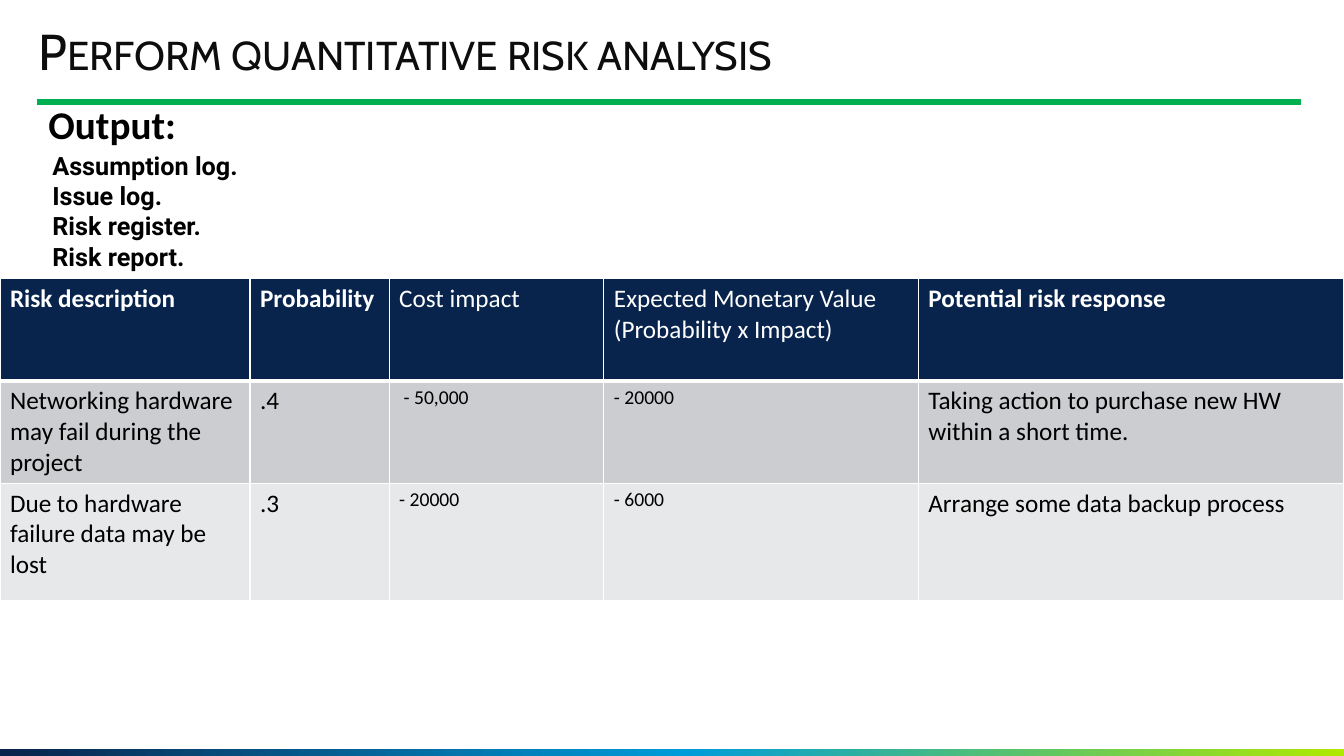
from copy import deepcopy
from dataclasses import dataclass

from lxml import etree
from pptx import Presentation
from pptx import util as u
from pptx.dml.color import RGBColor
from pptx.enum import shapes, text
from pptx.oxml.ns import qn


@dataclass(frozen=True)
class Theme:
    navy: str = "09244C"
    blue: str = "009CDA"
    lime: str = "B0E900"
    green: str = "00B050"
    white: str = "FFFFFF"
    black: str = "000000"
    ink: str = "0D0D0D"
    bands: tuple = ("CCCDD0", "E7E8E9")
    head: int = 36
    lead: int = 28
    text: int = 18
    small: int = 14


LOOK = Theme()
WIDE, HIGH = 960, 540

ITEMS = ["Assumption log.", "Issue log.", "Risk register.", "Risk report."]
COLS = [178.6, 99.4, 153.4, 224.6, 304]
ROWS = [73, 73, 84]
MONEY = (2, 3)
PLAIN = (2, 3)
RISKS = [
    ["Risk description", "Probability", "Cost impact",
     "Expected Monetary Value (Probability x Impact)",
     "Potential risk response"],
    ["Networking hardware may fail during the project", ".4", " - 50,000",
     "- 20000", "Taking action to purchase new HW within a short time."],
    ["Due to hardware failure data may be lost", ".3", "- 20000",
     "- 6000", "Arrange some data backup process"],
]


def rgb(tone):
    return RGBColor.from_string(tone)


def style(item, values):
    for name, value in values.items():
        setattr(item, name, value)


def write(para, words, tone, **form):
    """Add one run with its font values."""
    run = para.add_run()
    run.text = words
    style(run.font, form)
    run.font.color.rgb = rgb(tone)
    return run


def fill_box(box, area, lines, tone, inset=None, space=1.0, **form):
    """Place a placeholder and write plain, unbulleted lines in it."""
    style(box, dict(zip(("left", "top", "width", "height"),
                        map(u.Pt, area))))
    frame = box.text_frame
    style(frame, {"word_wrap": True, "auto_size": text.MSO_AUTO_SIZE.NONE,
                  "vertical_anchor": text.MSO_ANCHOR.TOP})
    if inset is not None:
        style(frame, {f"margin_{side}": u.Pt(inset)
                      for side in ("left", "top", "right", "bottom")})
    runs = []
    for i, words in enumerate(lines):
        para = frame.paragraphs[0] if i == 0 else frame.add_paragraph()
        props = para._p.get_or_add_pPr()
        props.set("marL", "0")
        props.set("indent", "0")
        etree.SubElement(props, qn("a:buNone"))
        style(para, {"alignment": text.PP_ALIGN.LEFT, "line_spacing": space,
                     "space_before": u.Pt(0), "space_after": u.Pt(0)})
        runs.append(write(para, words, tone, **form))
    return runs


def add_bar(slide):
    """Gradient strip along the foot of the slide."""
    bar = slide.shapes.add_shape(shapes.MSO_SHAPE.RECTANGLE, u.Pt(0),
                                 u.Pt(HIGH - 5), u.Pt(WIDE), u.Pt(5))
    bar.shadow.inherit = False
    bar.line.fill.background()
    bar.fill.gradient()
    bar.fill.gradient_angle = 0
    stops = bar._element.spPr.find(".//" + qn("a:gsLst"))
    stops.insert(1, deepcopy(stops[0]))
    tones = ((0, LOOK.navy), (0.51, LOOK.blue), (1, LOOK.lime))
    for stop, (place, tone) in zip(bar.fill.gradient_stops, tones):
        stop.position = place
        stop.color.rgb = rgb(tone)


def add_rule(slide):
    """Green line below the title."""
    rule = slide.shapes.add_connector(
        shapes.MSO_CONNECTOR.STRAIGHT,
        u.Pt(26.6), u.Pt(72.7), u.Pt(929.5), u.Pt(72.7))
    rule.line.color.rgb = rgb(LOOK.green)
    rule.line.width = u.Pt(4.5)
    etree.SubElement(rule._element.spPr, qn("a:effectLst"))


def edge_cell(cell, sides):
    """White borders, given as side and width in points."""
    props = cell._tc.get_or_add_tcPr()
    for i, (side, width) in enumerate(sides.items()):
        line = etree.Element(qn(f"a:{side}"), w=str(u.Pt(width)))
        solid = etree.SubElement(line, qn("a:solidFill"))
        etree.SubElement(solid, qn("a:srgbClr"), val=LOOK.white)
        props.insert(i, line)


def add_grid(slide):
    """Table of risks with a dark heading row."""
    grid = slide.shapes.add_table(len(ROWS), len(COLS), u.Pt(0), u.Pt(199),
                                  u.Pt(WIDE), u.Pt(sum(ROWS))).table
    for col, width in zip(grid.columns, COLS):
        col.width = u.Pt(width)
    for row, height in zip(grid.rows, ROWS):
        row.height = u.Pt(height)
    for r, line in enumerate(RISKS):
        top = r == 0
        for c, words in enumerate(line):
            cell = grid.cell(r, c)
            cell.fill.solid()
            cell.fill.fore_color.rgb = rgb(
                LOOK.navy if top else LOOK.bands[r - 1])
            edge_cell(cell, {"lnL": 1, "lnR": 1, "lnT": 3 if r == 1 else 1,
                             "lnB": 3 if top else 1})
            size = LOOK.small if not top and c in MONEY else LOOK.text
            write(cell.text_frame.paragraphs[0], words,
                  LOOK.white if top else LOOK.black, name="Calibri",
                  size=u.Pt(size), bold=top and c not in PLAIN)


def main():
    deck = Presentation()
    style(deck, {"slide_width": u.Pt(WIDE), "slide_height": u.Pt(HIGH)})
    # Layout with a title and two text areas
    slide = deck.slides.add_slide(deck.slide_layouts[3])
    title, lead, items = slide.placeholders

    add_bar(slide)
    add_rule(slide)

    # Title in small capitals
    head = fill_box(title, (27.4, 19.4, 805.7, 39.6),
                    ["Perform quantitative risk analysis"], LOOK.ink,
                    inset=0, space=0.9, name="Cabin", size=u.Pt(LOOK.head))
    head[0]._r.get_or_add_rPr().set("cap", "small")

    # Outputs
    fill_box(lead, (27.4, 72, 902, 39.6), ["Output:"], LOOK.black, space=0.9,
             name="Calibri", size=u.Pt(LOOK.lead), bold=True)
    fill_box(items, (30.2, 103.7, 902, 94.3), ITEMS, LOOK.black,
             name="Roboto", size=u.Pt(LOOK.text), bold=True)

    add_grid(slide)
    deck.save("out.pptx")


if __name__ == "__main__":
    main()
